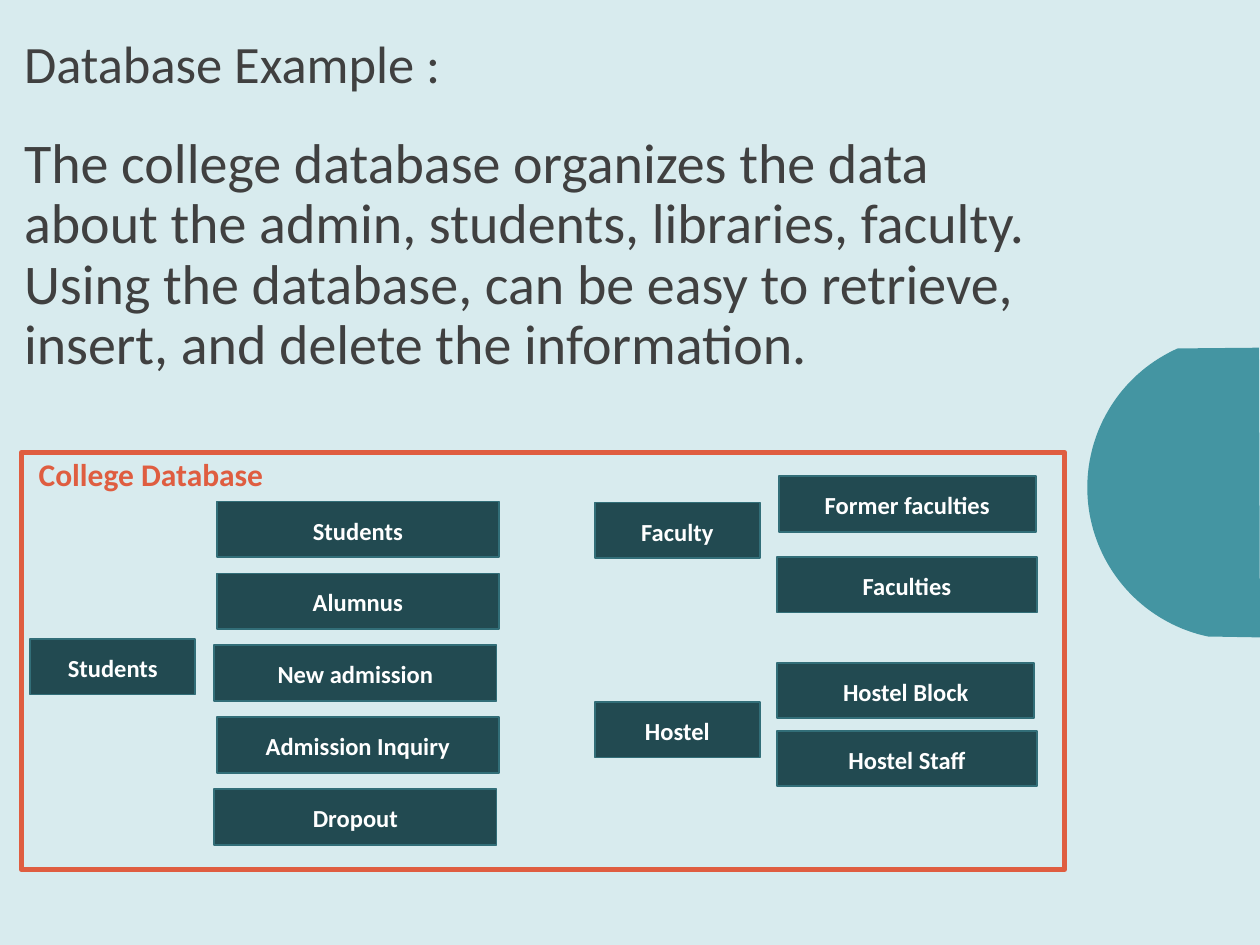
from dataclasses import dataclass
from math import cos, radians, sin

from lxml.etree import SubElement
from pptx import Presentation
from pptx.dml.color import RGBColor
from pptx.enum.shapes import MSO_SHAPE
from pptx.enum.text import MSO_ANCHOR, MSO_AUTO_SIZE, PP_ALIGN
from pptx.oxml.ns import qn
from pptx.util import Cm, Pt

BACKGROUND = RGBColor(0xD8, 0xEB, 0xEE)
INK = RGBColor(0x40, 0x40, 0x40)
TEAL = RGBColor(0x44, 0x95, 0xA2)
DARK_TEAL = RGBColor(0x22, 0x4A, 0x51)
EDGE_TEAL = RGBColor(0x32, 0x6E, 0x78)
ORANGE = RGBColor(0xDF, 0x5D, 0x40)
WHITE = RGBColor(0xFF, 0xFF, 0xFF)

BODY_TEXT = (
    "The college database organizes the data about the admin, students, "
    "libraries, faculty. Using the database, can be easy to retrieve, "
    "insert, and delete the information."
)


@dataclass(frozen=True)
class Entity:
    text: str
    left: float
    top: float
    width: float
    height: float = 1.12


STUDENT_GROUPS = ["Students", "Alumnus", "New admission", "Admission Inquiry", "Dropout"]
STUDENT_LEFTS = [4.37, 4.37, 4.32, 4.37, 4.32]
STUDENT_TOP, STUDENT_PITCH = 10.11, 1.45

ENTITIES = [
    Entity("Students", 0.61, 12.88, 3.33),
    *(
        Entity(name, left, STUDENT_TOP + row * STUDENT_PITCH, 5.69)
        for row, (name, left) in enumerate(zip(STUDENT_GROUPS, STUDENT_LEFTS))
    ),
    Entity("Faculty", 11.99, 10.13, 3.33),
    Entity("Former faculties", 15.7, 9.6, 5.18),
    Entity("Faculties", 15.67, 11.23, 5.23),
    Entity("Hostel", 11.99, 14.15, 3.33),
    Entity("Hostel Block", 15.67, 13.36, 5.18),
    Entity("Hostel Staff", 15.67, 14.73, 5.23),
]


def write_text(shape, text: str, *, size: float, color: RGBColor, bold: bool = False,
               align=PP_ALIGN.LEFT, anchor=MSO_ANCHOR.TOP, line_spacing: float = 1.0,
               before: float = 0, after: float = 0) -> None:
    frame = shape.text_frame
    frame.word_wrap = True
    frame.auto_size = MSO_AUTO_SIZE.NONE
    frame.vertical_anchor = anchor
    para = frame.paragraphs[0]
    para.alignment = align
    para.line_spacing = line_spacing
    para.space_before = Pt(before)
    para.space_after = Pt(after)
    span = para.add_run()
    span.text = text
    span.font.name = "Calibri"
    span.font.size = Pt(size)
    span.font.bold = bold
    span.font.color.rgb = color


def place(shape, left: float, top: float, width: float, height: float) -> None:
    shape.left, shape.top = Cm(left), Cm(top)
    shape.width, shape.height = Cm(width), Cm(height)


def remove_bullet(shape) -> None:
    properties = shape.text_frame.paragraphs[0]._p.get_or_add_pPr()
    properties.set("marL", "0")
    properties.set("indent", "0")
    SubElement(properties, qn("a:buNone"))


def draw_cut_circle(page) -> None:
    center_x, center_y, radius = 24.99, 9.83, 3.07
    angles = [radians(degree) for degree in range(102, 247, 2)]
    arc = [
        (Cm(center_x + radius * cos(angle)), Cm(center_y + radius * sin(angle)))
        for angle in angles
    ]
    builder = page.shapes.build_freeform(*arc[0], scale=1.0)
    builder.add_line_segments(arc[1:] + [(Cm(25.38), Cm(7.01)), (Cm(25.4), Cm(12.85))])
    circle = builder.convert_to_shape()
    circle.shadow.inherit = False
    circle.fill.solid()
    circle.fill.fore_color.rgb = TEAL
    circle.line.fill.background()


def draw_entity(page, entity: Entity) -> None:
    box = page.shapes.add_shape(
        MSO_SHAPE.RECTANGLE, Cm(entity.left), Cm(entity.top), Cm(entity.width), Cm(entity.height)
    )
    box.shadow.inherit = False
    box.fill.solid()
    box.fill.fore_color.rgb = DARK_TEAL
    box.line.color.rgb = EDGE_TEAL
    box.line.width = Pt(1)
    write_text(box, entity.text, size=14, color=WHITE, bold=True, align=PP_ALIGN.CENTER,
               anchor=MSO_ANCHOR.MIDDLE, line_spacing=1.07, after=8)


def draw_database_frame(page) -> None:
    border = page.shapes.add_shape(
        MSO_SHAPE.RECTANGLE, Cm(0.43), Cm(9.12), Cm(21.03), Cm(8.41)
    )
    border.shadow.inherit = False
    border.fill.background()
    border.line.color.rgb = ORANGE
    border.line.width = Pt(3)
    label = page.shapes.add_textbox(Cm(0.53), Cm(9.04), Cm(13.51), Cm(1.02))
    write_text(label, "College Database", size=18, color=ORANGE, bold=True)


def main() -> None:
    deck = Presentation()
    deck.slide_width, deck.slide_height = Cm(25.4), Cm(19.05)
    page = deck.slides.add_slide(deck.slide_layouts[1])
    page.background.fill.solid()
    page.background.fill.fore_color.rgb = BACKGROUND

    title, body = page.shapes.title, page.placeholders[1]
    place(title, 0.23, 0.64, 13.34, 1.9)
    write_text(title, "Database Example :", size=30, color=INK, line_spacing=0.9)
    place(body, 0.23, 2.59, 21.56, 6.93)
    write_text(body, BODY_TEXT, size=32, color=INK, line_spacing=0.9, before=7.5)
    remove_bullet(body)

    draw_cut_circle(page)
    for entity in ENTITIES:
        draw_entity(page, entity)
    draw_database_frame(page)
    deck.save("out.pptx")


if __name__ == "__main__":
    main()
